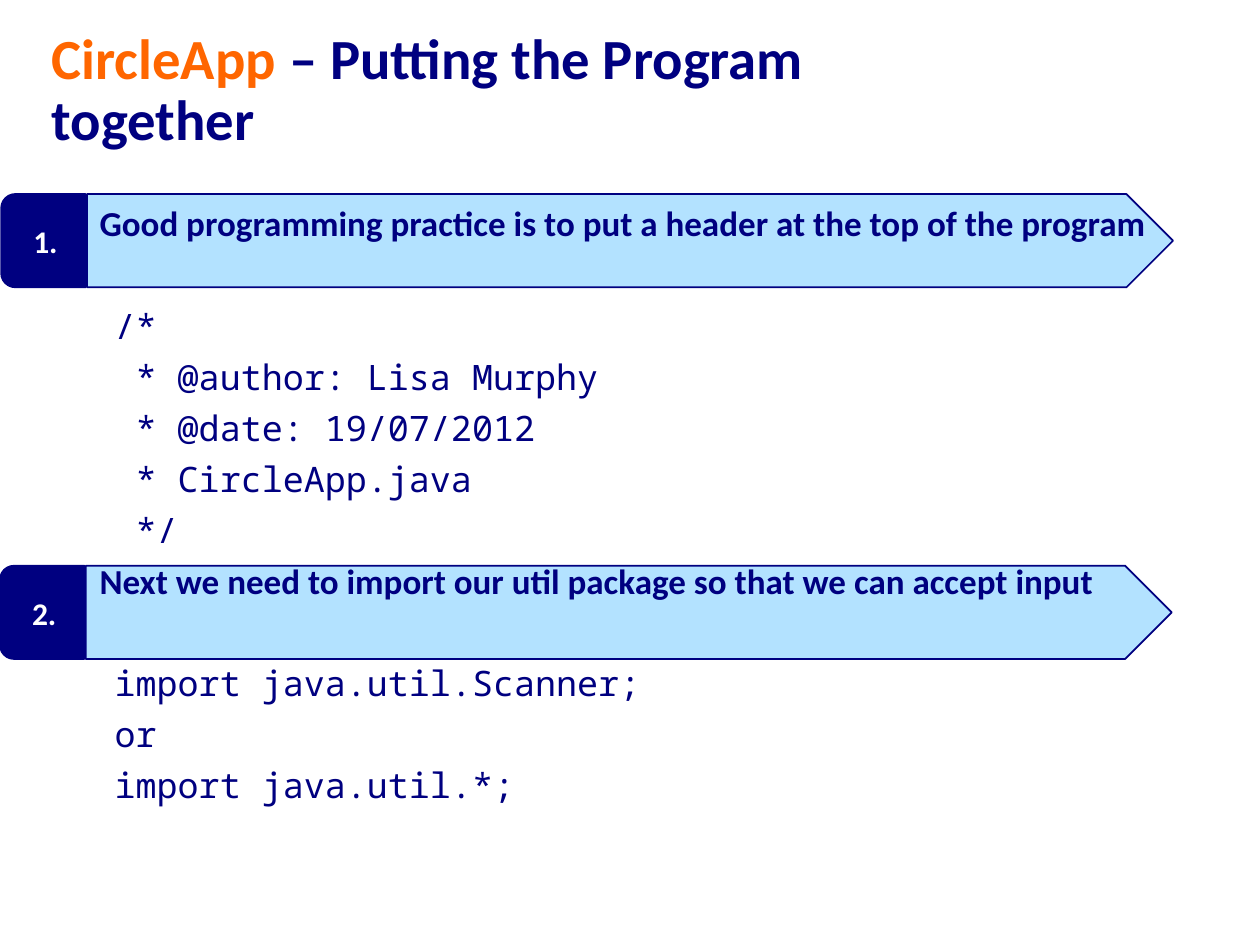
from dataclasses import dataclass

from lxml import etree
from pptx import Presentation
from pptx.dml.color import RGBColor
from pptx.enum.shapes import MSO_SHAPE
from pptx.enum.text import MSO_ANCHOR, MSO_AUTO_SIZE, PP_ALIGN
from pptx.oxml.ns import qn
from pptx.util import Inches, Pt

BANNER = MSO_SHAPE.PENTAGON
BADGE = MSO_SHAPE.ROUND_2_SAME_RECTANGLE
LEFT, CENTER = PP_ALIGN.LEFT, PP_ALIGN.CENTER
MIDDLE, TOP = MSO_ANCHOR.MIDDLE, MSO_ANCHOR.TOP
FIXED_SIZE = MSO_AUTO_SIZE.NONE


@dataclass(frozen=True)
class Theme:
    navy: RGBColor = RGBColor(0x00, 0x00, 0x80)
    sky: RGBColor = RGBColor(0xB3, 0xE2, 0xFF)
    orange: RGBColor = RGBColor(0xFF, 0x66, 0x00)
    white: RGBColor = RGBColor(0xFF, 0xFF, 0xFF)
    text_font: str = "Calibri"
    code_font: str = "Noto Sans Mono"
    title_size: float = 32.4
    body_size: float = 20
    badge_size: float = 18
    line_spacing: float = 0.9
    line_gap: float = 7.5
    banner_gap: float = 37  # from a heading to its first code line


@dataclass(frozen=True)
class Step:
    number: str
    left: float
    top: float
    heading: str
    code: tuple[str, ...]


THEME = Theme()
SLIDE_WIDTH, SLIDE_HEIGHT = 10, 7.5
BANNER_WIDTH, BANNER_HEIGHT = 8.62, 0.74
BADGE_WIDTH, BADGE_OFFSET = 0.67, 0.01
CODE_INDENT = 0.12

STEPS = (
    Step("1.", 0.69, 1.54,
         "Good programming practice is to put a header at the top of the program",
         ("/*", " * @author: Lisa Murphy", " * @date: 19/07/2012",
          " * CircleApp.java", " */")),
    Step("2.", 0.68, 4.49,
         "Next we need to import our util package so that we can accept input",
         ("import java.util.Scanner;", "or", "import java.util.*;")),
)


def add_run(paragraph, text: str, size: float, color: RGBColor,
            font: str = THEME.text_font, bold: bool = True) -> None:
    run = paragraph.add_run()
    run.text = text
    run.font.name = font
    run.font.size = Pt(size)
    run.font.bold = bold
    run.font.color.rgb = color


def add_box(slide, kind, left: float, top: float, width: float, height: float,
            fill: RGBColor):
    shape = slide.shapes.add_shape(kind, Inches(left), Inches(top),
                                   Inches(width), Inches(height))
    shape.shadow.inherit = False
    shape.fill.solid()
    shape.fill.fore_color.rgb = fill
    shape.line.color.rgb = THEME.navy
    shape.line.width = Pt(1)
    return shape


def add_banner(slide, step: Step) -> None:
    add_box(slide, BANNER, step.left, step.top, BANNER_WIDTH, BANNER_HEIGHT,
            THEME.sky)


def add_badge(slide, step: Step) -> None:
    # The badge is turned a quarter, so its width runs along the banner's height
    center_x = step.left - BADGE_WIDTH / 2 - BADGE_OFFSET
    center_y = step.top + BANNER_HEIGHT / 2
    badge = add_box(slide, BADGE, center_x - BANNER_HEIGHT / 2,
                    center_y - BADGE_WIDTH / 2, BANNER_HEIGHT, BADGE_WIDTH,
                    THEME.navy)
    badge.rotation = 270
    badge.element.txBody.bodyPr.set("vert", "vert")
    badge.text_frame.vertical_anchor = MIDDLE
    paragraph = badge.text_frame.paragraphs[0]
    paragraph.alignment = CENTER
    add_run(paragraph, step.number, THEME.badge_size, THEME.white)


def prepare_placeholder(shape, left: float, top: float, width: float,
                        height: float, anchor):
    shape.left, shape.top = Inches(left), Inches(top)
    shape.width, shape.height = Inches(width), Inches(height)
    frame = shape.text_frame
    frame.auto_size = FIXED_SIZE
    frame.word_wrap = True
    frame.vertical_anchor = anchor
    return frame


def format_line(paragraph, gap: float, indent: float = 0) -> None:
    paragraph.alignment = LEFT
    paragraph.line_spacing = THEME.line_spacing
    paragraph.space_before = Pt(gap)
    properties = paragraph._p.get_or_add_pPr()
    properties.set("marL", str(Inches(indent)))
    properties.set("indent", "0")
    etree.SubElement(properties, qn("a:buNone"))


def fill_title(title) -> None:
    frame = prepare_placeholder(title, 0.31, 0.24, 7.21, 0.97, MIDDLE)
    paragraph = frame.paragraphs[0]
    format_line(paragraph, 0)
    add_run(paragraph, "CircleApp", THEME.title_size, THEME.orange)
    add_run(paragraph, " – Putting the Program together", THEME.title_size,
            THEME.navy)


def fill_body(body) -> None:
    frame = prepare_placeholder(body, 0.69, 1.59, BANNER_WIDTH, 5.15, TOP)
    for step_index, step in enumerate(STEPS):
        heading = frame.add_paragraph() if step_index else frame.paragraphs[0]
        format_line(heading, THEME.line_gap)
        add_run(heading, step.heading, THEME.body_size, THEME.navy)
        for line_index, text in enumerate(step.code):
            line = frame.add_paragraph()
            gap = THEME.line_gap if line_index else THEME.banner_gap
            format_line(line, gap, CODE_INDENT)
            add_run(line, text, THEME.body_size, THEME.navy,
                    THEME.code_font, bold=False)


def main() -> None:
    presentation = Presentation()
    presentation.slide_width = Inches(SLIDE_WIDTH)
    presentation.slide_height = Inches(SLIDE_HEIGHT)
    slide = presentation.slides.add_slide(presentation.slide_layouts[1])
    title, body = slide.shapes.title, slide.placeholders[1]

    # Banners lie behind the text
    for step in STEPS:
        add_banner(slide, step)
    fill_body(body)
    fill_title(title)
    slide.shapes[-1].element.addnext(body.element)
    body.element.addnext(title.element)

    # Numbered badges lie in front
    for step in STEPS:
        add_badge(slide, step)
    presentation.save("out.pptx")


if __name__ == "__main__":
    main()
